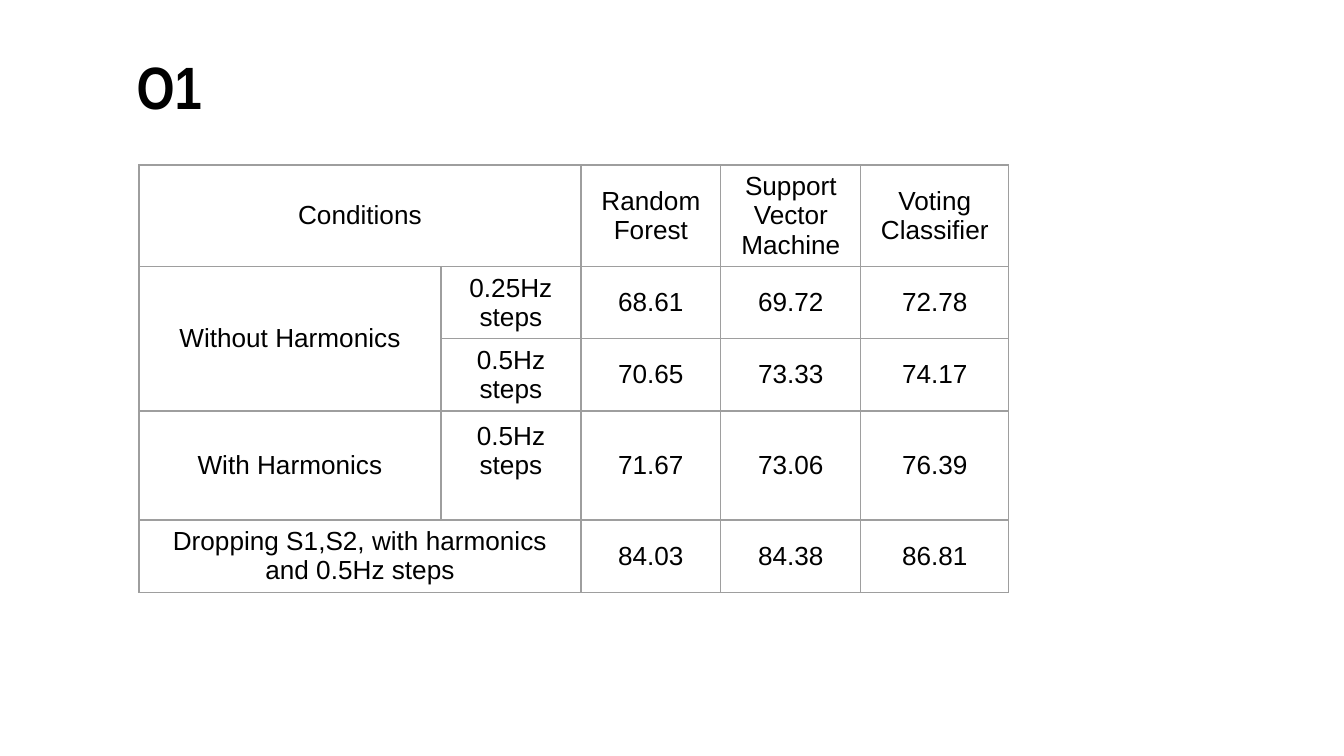
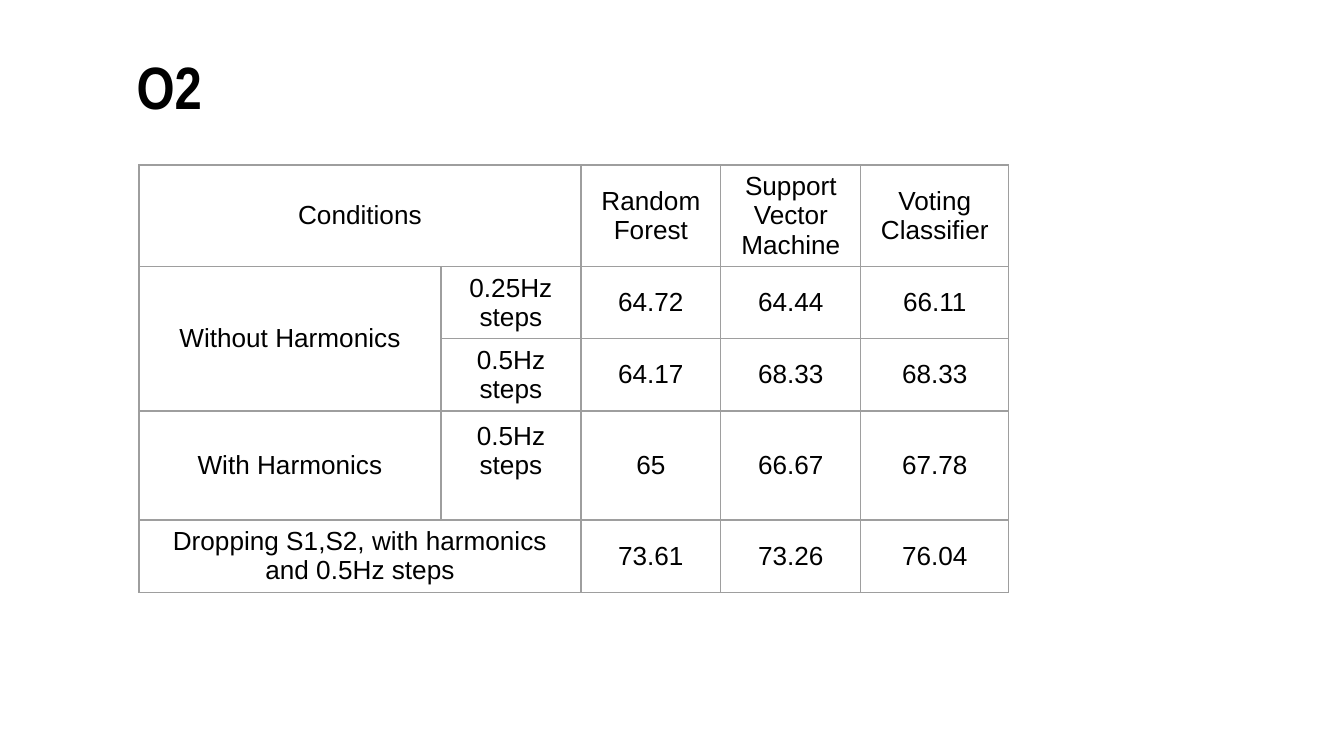
from lxml.etree import SubElement
from pptx import Presentation
from pptx.dml.color import RGBColor
from pptx.enum.text import MSO_ANCHOR, MSO_AUTO_SIZE, PP_ALIGN
from pptx.oxml.ns import qn
from pptx.util import Emu, Pt

HEADINGS = ["Conditions", "", "Random Forest", "Support Vector Machine", "Voting Classifier"]
CONDITIONS = [
    ("Without Harmonics", "0.25Hz steps"),
    ("", "0.5Hz steps"),
    ("With Harmonics", "0.5Hz steps"),
    ("Dropping S1,S2, with harmonics and 0.5Hz steps", ""),
]
RESULTS = {
    "O1": [
        ("68.61", "69.72", "72.78"),
        ("70.65", "73.33", "74.17"),
        ("71.67", "73.06", "76.39"),
        ("84.03", "84.38", "86.81"),
    ],
    "O2": [
        ("64.72", "64.44", "66.11"),
        ("64.17", "68.33", "68.33"),
        ("65", "66.67", "67.78"),
        ("73.61", "73.26", "76.04"),
    ],
}
MERGES = [((0, 0), (0, 1)), ((1, 0), (2, 0)), ((4, 0), (4, 1))]

PAGE_SIZE = (1344, 756)
TITLE_BOX = (64, 66, 151, 40)
TABLE_BOX = (139, 165, 870, 445)
COLUMN_WIDTHS = [302, 140, 140, 140, 148]
ROW_HEIGHTS = [55, 55, 55, 109, 55]
TITLE_INSET = 13
RAISED_CELL = (3, 1)
RAISED_MARGIN = 36

BLACK = RGBColor(0x00, 0x00, 0x00)
WHITE = RGBColor(0xFF, 0xFF, 0xFF)
GREY = RGBColor(0x9E, 0x9E, 0x9E)
BORDER_WIDTH = Pt(0.75)


def px(length):
    return Emu(round(length * 914400 / 134.4))


def add_span(para, text, font_name, size, bold, align):
    para.alignment = align
    span = para.add_run()
    span.text = text
    span.font.name = font_name
    span.font.size = Pt(size)
    span.font.bold = bold
    span.font.color.rgb = BLACK


def draw_borders(cell):
    properties = cell._tc.get_or_add_tcPr()
    for side in ("a:lnL", "a:lnR", "a:lnT", "a:lnB"):
        line = SubElement(properties, qn(side), w=str(BORDER_WIDTH))
        fill = SubElement(line, qn("a:solidFill"))
        SubElement(fill, qn("a:srgbClr"), val=str(GREY))


def add_title(page, text):
    title = page.shapes.title
    title.left, title.top, title.width, title.height = map(px, TITLE_BOX)
    frame = title.text_frame
    frame.word_wrap = True
    frame.auto_size = MSO_AUTO_SIZE.NONE
    frame.vertical_anchor = MSO_ANCHOR.MIDDLE
    frame.margin_left = frame.margin_right = px(TITLE_INSET)
    frame.margin_top = frame.margin_bottom = px(TITLE_INSET)
    add_span(frame.paragraphs[0], text, "Arial Narrow", 32, True, PP_ALIGN.RIGHT)


def add_results(page, scores):
    rows = [HEADINGS] + [[*labels, *values] for labels, values in zip(CONDITIONS, scores)]
    box = page.shapes.add_table(len(rows), len(HEADINGS), *map(px, TABLE_BOX))
    table = box.table
    table.first_row = False
    table.horz_banding = False
    for column, width in zip(table.columns, COLUMN_WIDTHS):
        column.width = px(width)
    for row, height in zip(table.rows, ROW_HEIGHTS):
        row.height = px(height)
    box.height = px(TABLE_BOX[3])
    for row_index, texts in enumerate(rows):
        for column_index, text in enumerate(texts):
            cell = table.cell(row_index, column_index)
            draw_borders(cell)
            cell.fill.background()
            cell.vertical_anchor = MSO_ANCHOR.MIDDLE
            if text:
                para = cell.text_frame.paragraphs[0]
                add_span(para, text, "Arial", 14, False, PP_ALIGN.CENTER)
    table.cell(*RAISED_CELL).margin_bottom = px(RAISED_MARGIN)
    for first, last in MERGES:
        table.cell(*first).merge(table.cell(*last))


def main():
    deck = Presentation()
    deck.slide_width, deck.slide_height = map(px, PAGE_SIZE)
    background = deck.slide_master.background.fill
    background.solid()
    background.fore_color.rgb = WHITE
    for name, scores in RESULTS.items():
        page = deck.slides.add_slide(deck.slide_layouts[5])
        add_results(page, scores)
        add_title(page, name)
    deck.save("out.pptx")


if __name__ == "__main__":
    main()
